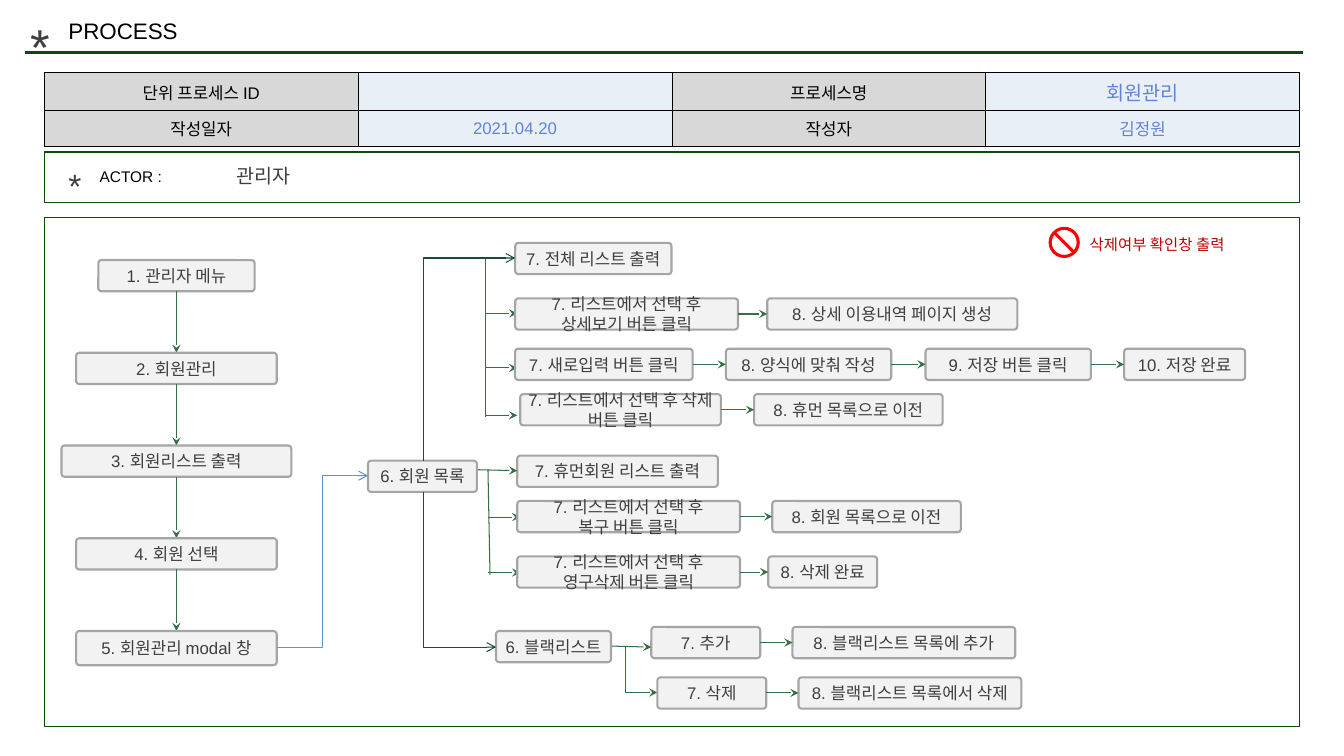
from lxml import etree
from pptx import Presentation
from pptx.dml.color import RGBColor
from pptx.enum import shapes, text
from pptx.oxml import ns
from pptx.util import Inches, Pt

FRAME_GREEN = RGBColor(0x0C, 0x4B, 0x09)
ARROW_GREEN = RGBColor(0x36, 0x6E, 0x45)
ELBOW_GREEN = RGBColor(0x14, 0x4E, 0x37)
ELBOW_BLUE = RGBColor(0x56, 0x98, 0xD3)
VALUE_BLUE = RGBColor(0x61, 0x82, 0xD6)
VALUE_FILL = RGBColor(0xE9, 0xEF, 0xF7)
LABEL_FILL = RGBColor(0xD8, 0xD8, 0xD8)
BOX_FILL = RGBColor(0xF2, 0xF2, 0xF2)
BOX_LINE = RGBColor(0xA5, 0xA5, 0xA5)
DARK_GRAY = RGBColor(0x3F, 0x3F, 0x3F)
BLACK = RGBColor(0, 0, 0)
RED = RGBColor(0xFF, 0, 0)
DARK_RED = RGBColor(0xC0, 0, 0)

FONT = "Arial"
BOX_HEIGHT = 0.31
MENU_CENTER = 1.75
MENU_TOP = 2.58
MENU_STEP = 0.92

INFO_ROWS = [
    (0.38, ["단위 프로세스 ID", "", "프로세스명", "회원관리"]),
    (0.35, ["작성일자", "2021.04.20", "작성자", "김정원"]),
]
MENU_STEPS = [
    (1.55, "1. 관리자 메뉴"),
    (1.99, "2. 회원관리"),
    (2.28, "3. 회원리스트 출력"),
    (1.99, "4. 회원 선택"),
    (1.99, "5. 회원관리 modal 창"),
]
FLOW_ROWS = [
    (2.41, [(5.11, 1.55, "7. 전체 리스트 출력")]),
    (2.96, [(5.11, 2.21, "7. 리스트에서 선택 후\n상세보기 버튼 클릭"),
            (7.61, 2.48, "8. 상세 이용내역 페이지 생성")]),
    (3.46, [(5.11, 1.76, "7. 새로입력 버튼 클릭"),
            (7.2, 1.64, "8. 양식에 맞춰 작성"),
            (9.18, 1.64, "9. 저장 버튼 클릭"),
            (11.15, 1.2, "10. 저장 완료")]),
    (3.91, [(5.16, 1.99, "7. 리스트에서 선택 후 삭제 버튼 클릭"),
            (7.48, 1.87, "8. 휴먼 목록으로 이전")]),
    (4.52, [(5.13, 1.99, "7. 휴먼회원 리스트 출력")]),
    (4.97, [(5.13, 2.21, "7. 리스트에서 선택 후\n복구 버튼 클릭"),
            (7.66, 1.87, "8. 회원 목록으로 이전")]),
    (5.52, [(5.13, 2.21, "7. 리스트에서 선택 후\n영구삭제 버튼 클릭"),
            (7.62, 1.08, "8. 삭제 완료")]),
    (6.22, [(6.46, 1.08, "7. 추가"),
            (7.86, 2.21, "8. 블랙리스트 목록에 추가")]),
    (6.72, [(6.52, 1.08, "7. 삭제"),
            (7.92, 2.21, "8. 블랙리스트 목록에서 삭제")]),
]
BRANCHES = [
    ((4.82, 2.56), (4.82, 4.14), [3.11, 3.65, 4.12], 5.13),
    ((4.84, 4.66), (4.86, 5.7), [5.13, 5.68], 5.16),
    ((6.2, 6.41), (6.2, 6.87), [6.87], 6.52),
]


def style_paragraphs(frame, size, color, align=text.PP_ALIGN.LEFT):
    for paragraph in frame.paragraphs:
        paragraph.alignment = align
        paragraph.font.name = FONT
        paragraph.font.size = Pt(size)
        paragraph.font.color.rgb = color


def add_label(slide, left, top, width, height, words, size, color):
    box = slide.shapes.add_textbox(
        Inches(left), Inches(top), Inches(width), Inches(height))
    box.text_frame.word_wrap = True
    box.text_frame.text = words
    style_paragraphs(box.text_frame, size, color)


def add_panel(slide, top, height):
    panel = slide.shapes.add_shape(
        shapes.MSO_SHAPE.RECTANGLE,
        Inches(0.44), Inches(top), Inches(12.45), Inches(height))
    panel.shadow.inherit = False
    panel.fill.background()
    panel.line.color.rgb = FRAME_GREEN
    panel.line.width = Pt(1)


def add_box(slide, left, top, width, words, height=BOX_HEIGHT):
    box = slide.shapes.add_shape(
        shapes.MSO_SHAPE.ROUNDED_RECTANGLE,
        Inches(left), Inches(top), Inches(width), Inches(height))
    box.adjustments[0] = 0.1
    box.shadow.inherit = False
    box.fill.solid()
    box.fill.fore_color.rgb = BOX_FILL
    box.line.color.rgb = BOX_LINE
    box.line.width = Pt(1.5)
    frame = box.text_frame
    frame.word_wrap = True
    frame.vertical_anchor = text.MSO_ANCHOR.MIDDLE
    frame.margin_left = frame.margin_right = Inches(0.04)
    frame.margin_top = frame.margin_bottom = Inches(0.04)
    frame.text = words
    style_paragraphs(frame, 12, DARK_GRAY, text.PP_ALIGN.CENTER)


def add_line(slide, start, end, color=ARROW_GREEN, width=0.75, head=None,
             kind=shapes.MSO_CONNECTOR.STRAIGHT):
    points = [Inches(value) for value in (*start, *end)]
    line = slide.shapes.add_connector(kind, *points)
    line.line.color.rgb = color
    line.line.width = Pt(width)
    if head:
        etree.SubElement(line.line._get_or_add_ln(), ns.qn("a:tailEnd"), type=head)
    etree.SubElement(line._element.spPr, ns.qn("a:effectLst"))
    return line


def add_elbow(slide, start, end, color, bend):
    elbow = add_line(slide, start, end, color, head="arrow",
                     kind=shapes.MSO_CONNECTOR.ELBOW)
    geometry = elbow._element.spPr.find(ns.qn("a:prstGeom"))
    guides = geometry.find(ns.qn("a:avLst"))
    if guides is None:
        guides = etree.SubElement(geometry, ns.qn("a:avLst"))
    etree.SubElement(guides, ns.qn("a:gd"), name="adj1", fmla=f"val {bend}")


def add_cell_borders(cell):
    properties = cell._tc.get_or_add_tcPr()
    for side in ("lnL", "lnR", "lnT", "lnB"):
        border = etree.SubElement(properties, ns.qn(f"a:{side}"), w=str(Pt(0.75)))
        fill = etree.SubElement(border, ns.qn("a:solidFill"))
        etree.SubElement(fill, ns.qn("a:srgbClr"), val=str(BLACK))


def add_info_table(slide):
    table = slide.shapes.add_table(
        2, 4, Inches(0.44), Inches(0.72), Inches(12.45), Inches(0.73)).table
    for row, (height, words) in enumerate(INFO_ROWS):
        table.rows[row].height = Inches(height)
        for column, value in enumerate(words):
            cell = table.cell(row, column)
            is_value = column % 2 == 1
            add_cell_borders(cell)
            cell.fill.solid()
            cell.fill.fore_color.rgb = VALUE_FILL if is_value else LABEL_FILL
            cell.vertical_anchor = text.MSO_ANCHOR.MIDDLE
            cell.text = value
            style_paragraphs(cell.text_frame, 14 if value == "회원관리" else 12,
                             VALUE_BLUE if is_value else BLACK,
                             text.PP_ALIGN.CENTER)


def add_menu_column(slide):
    for index, (width, words) in enumerate(MENU_STEPS):
        top = MENU_TOP + index * MENU_STEP
        is_last = index == len(MENU_STEPS) - 1
        add_box(slide, MENU_CENTER - width / 2, top, width, words,
                0.34 if is_last else BOX_HEIGHT)
        if not is_last:
            add_line(slide, (MENU_CENTER, top + BOX_HEIGHT),
                     (MENU_CENTER, top + MENU_STEP), head="stealth")


def add_branch(slide, start, end, arrow_tops, arrow_end):
    add_line(slide, start, end)
    for top in arrow_tops:
        add_line(slide, (start[0], top), (arrow_end, top), head="stealth")


def add_flow_row(slide, top, steps):
    middle = top + BOX_HEIGHT / 2
    for left, width, words in steps:
        add_box(slide, left, top, width, words)
    for (left, width, _), following in zip(steps, steps[1:]):
        add_line(slide, (left + width, middle), (following[0], middle),
                 head="stealth")


def add_stop_sign(slide):
    sign = slide.shapes.add_shape(
        shapes.MSO_SHAPE.NO_SYMBOL,
        Inches(10.4), Inches(2.25), Inches(0.31), Inches(0.31))
    sign.adjustments[0] = 0.1
    sign.shadow.inherit = False
    sign.fill.solid()
    sign.fill.fore_color.rgb = RED
    sign.line.fill.background()


def main():
    presentation = Presentation()
    presentation.slide_width = Inches(13.33)
    presentation.slide_height = Inches(7.5)
    slide = presentation.slides.add_slide(presentation.slide_layouts[6])

    add_line(slide, (0.25, 0.52), (12.92, 0.52), FRAME_GREEN, 2.25)
    add_label(slide, 0.2, 0.1, 0.52, 0.71, "*", 36, DARK_GRAY)
    add_label(slide, 0.58, 0.12, 4.32, 0.37, "PROCESS", 16, BLACK)
    add_info_table(slide)
    add_panel(slide, 1.51, 0.5)
    add_label(slide, 0.58, 1.59, 0.52, 0.5, "*", 24, DARK_GRAY)
    add_label(slide, 0.89, 1.61, 1.33, 0.29, "ACTOR :", 11, BLACK)
    add_label(slide, 2.25, 1.58, 4.32, 0.34, "관리자", 14, DARK_GRAY)

    add_panel(slide, 2.16, 5.05)
    add_stop_sign(slide)
    add_label(slide, 10.71, 2.28, 2.1, 0.29, "삭제여부 확인창 출력", 11, DARK_RED)
    add_menu_column(slide)
    add_box(slide, 3.65, 4.57, 1.08, "6. 회원 목록")
    add_box(slide, 4.92, 6.26, 1.14, "6. 블랙리스트")
    for branch in BRANCHES:
        add_branch(slide, *branch)
    for top, steps in FLOW_ROWS:
        add_flow_row(slide, top, steps)
    add_line(slide, (4.74, 4.66), (5.13, 4.67), head="stealth")
    add_line(slide, (6.07, 6.41), (6.46, 6.42), head="stealth")
    add_elbow(slide, (2.75, 6.42), (3.65, 4.72), ELBOW_BLUE, 50000)
    add_elbow(slide, (4.2, 4.57), (5.11, 2.56), ELBOW_GREEN, 0)
    add_elbow(slide, (4.2, 4.88), (4.92, 6.42), ELBOW_GREEN, 0)

    presentation.save("out.pptx")


if __name__ == "__main__":
    main()
